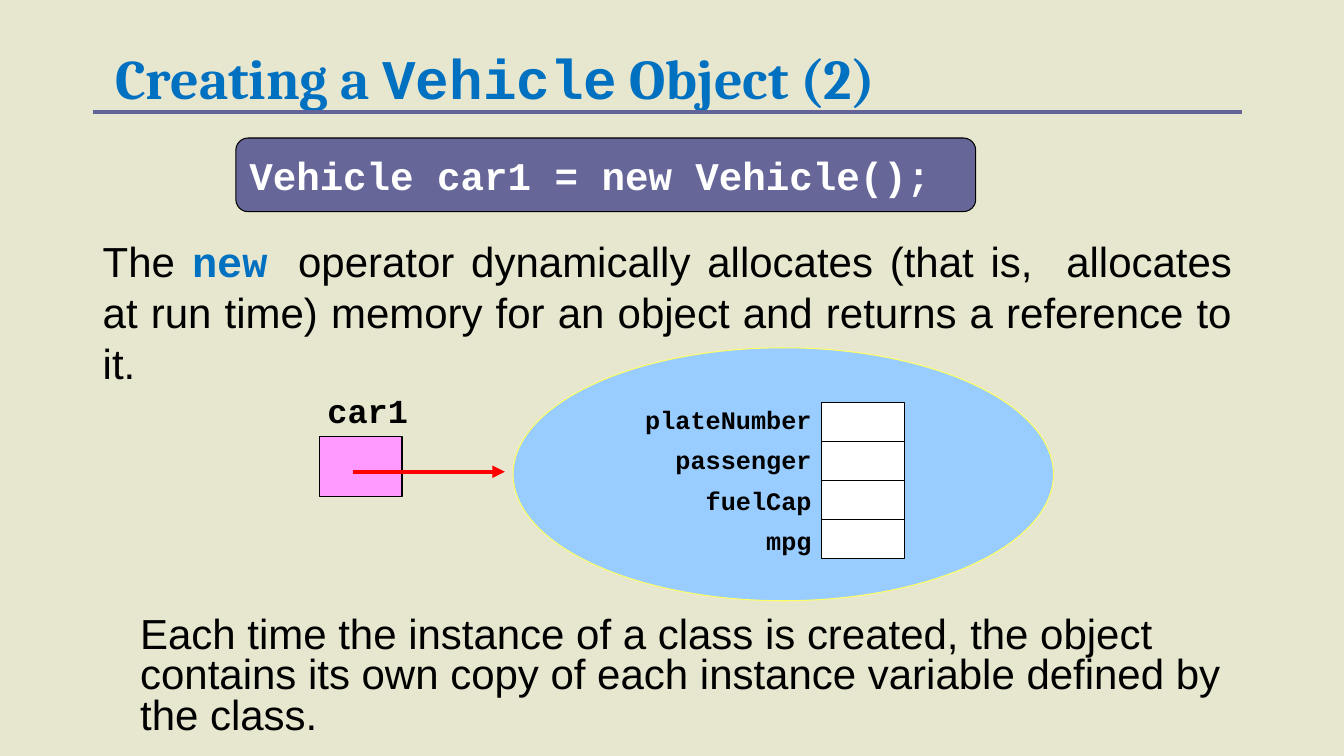
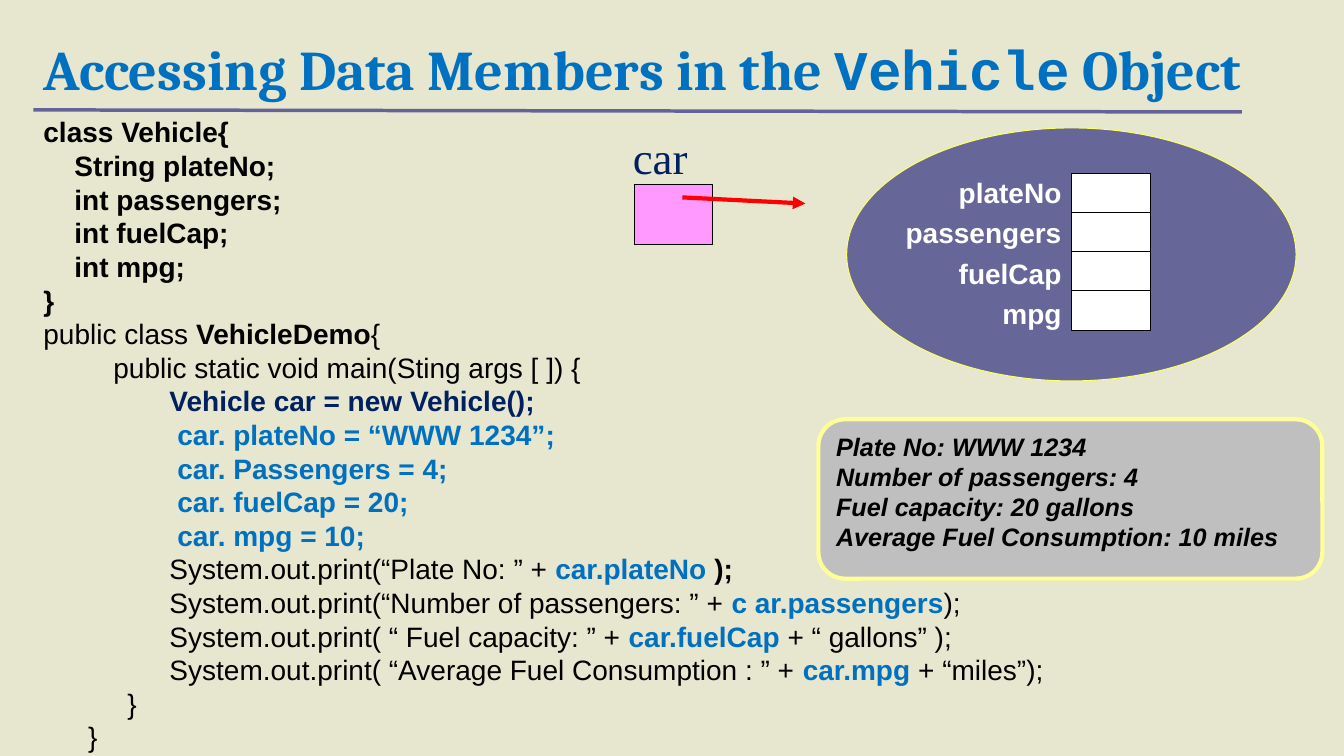
from dataclasses import dataclass

from lxml import etree
from pptx import Presentation
from pptx.dml.color import RGBColor
from pptx.enum import shapes, text
from pptx.oxml import ns
from pptx.util import Pt


@dataclass(frozen=True)
class Theme:
    # Colours
    background: str = "E7E7CF"
    accent: str = "0070C0"
    navy: str = "002060"
    violet: str = "666699"
    rule: str = "636397"
    sky: str = "99CCFF"
    pink: str = "FF99FF"
    red: str = "FF0000"
    yellow: str = "FFFF66"
    pale_yellow: str = "FFFF99"
    grey: str = "BFBFBF"
    black: str = "000000"
    white: str = "FFFFFF"
    # Fonts
    heading: str = "Cambria"
    sans: str = "Arial"
    mono: str = "Courier New"
    serif: str = "Times New Roman"
    # Type sizes
    title_size: int = 40
    body_size: int = 30
    banner_size: int = 28
    code_size: int = 20
    small_size: int = 18


THEME = Theme()
SHAPE = shapes.MSO_SHAPE
ALIGN = text.PP_ALIGN
ANCHOR = text.MSO_ANCHOR
CELL_HEIGHT = 28
LABEL_PITCH = 28.8


# --- Text -----------------------------------------------------------------

def format_span(span, font=THEME.sans, size=THEME.code_size, color=THEME.black,
                bold=False, italic=False):
    span.font.name = font
    span.font.size = Pt(size)
    span.font.color.rgb = RGBColor.from_string(color)
    span.font.bold = bold
    span.font.italic = italic


def write_text(frame, lines, align=ALIGN.LEFT, anchor=ANCHOR.TOP, wrap=True,
               leading=None, **style):
    """Each line is (indent, span, ...); a span is a string or (string, changes)."""
    frame.auto_size = text.MSO_AUTO_SIZE.NONE
    frame.word_wrap = wrap
    frame.vertical_anchor = anchor
    for number, (indent, *spans) in enumerate(lines):
        para = frame.add_paragraph() if number else frame.paragraphs[0]
        para.alignment = align
        para.space_before = Pt(0)
        if leading:
            para.line_spacing = Pt(leading)
        properties = para._p.get_or_add_pPr()
        properties.set("marL", str(Pt(indent)))
        properties.set("indent", "0")
        etree.SubElement(properties, ns.qn("a:buNone"))
        for item in spans:
            words, changes = (item, {}) if isinstance(item, str) else item
            span = para.add_run()
            span.text = words
            format_span(span, **{**style, **changes})


def place(box, left, top, width, height):
    box.left, box.top, box.width, box.height = map(Pt, (left, top, width, height))


def fill_placeholder(box, bounds, lines, **style):
    place(box, *bounds)
    write_text(box.text_frame, lines, **style)


def add_label(page, bounds, words, **style):
    box = page.shapes.add_textbox(*map(Pt, bounds))
    write_text(box.text_frame, [(0, words)], **style)


# --- Shapes and lines -----------------------------------------------------

def add_panel(page, kind, bounds, fill, line=THEME.black, weight=0.75):
    panel = page.shapes.add_shape(kind, *map(Pt, bounds))
    panel.shadow.inherit = False
    panel.fill.solid()
    panel.fill.fore_color.rgb = RGBColor.from_string(fill)
    panel.line.color.rgb = RGBColor.from_string(line)
    panel.line.width = Pt(weight)
    return panel


def add_line(page, ends, color, weight, arrow=False):
    line = page.shapes.add_connector(shapes.MSO_CONNECTOR.STRAIGHT, *map(Pt, ends))
    line.line.color.rgb = RGBColor.from_string(color)
    line.line.width = Pt(weight)
    if arrow:
        etree.SubElement(line.line._get_or_add_ln(), ns.qn("a:tailEnd"), type="triangle")
    etree.SubElement(line._element.spPr, ns.qn("a:effectLst"))


# --- Slide parts ----------------------------------------------------------

def add_page(deck, layout, title_bounds, title, rule):
    page = deck.slides.add_slide(deck.slide_layouts.get_by_name(layout))
    fill_placeholder(page.shapes.title, title_bounds, [(0, *title)],
                     anchor=ANCHOR.MIDDLE, font=THEME.heading,
                     size=THEME.title_size, color=THEME.accent, bold=True)
    add_line(page, rule, THEME.rule, 2.5)
    return page


def add_object(page, oval, fill, reference, arrow, cell, fields, label_width, **style):
    """Draw an object with its fields, and the variable that refers to it."""
    add_panel(page, SHAPE.OVAL, oval, fill, THEME.yellow)
    add_panel(page, SHAPE.RECTANGLE, reference, THEME.pink)
    add_line(page, arrow, THEME.red, 3, arrow=True)
    left, top, width = cell
    for row, field in enumerate(fields):
        add_panel(page, SHAPE.RECTANGLE,
                  (left, top + row * CELL_HEIGHT, width, CELL_HEIGHT), THEME.white)
        add_label(page, (left - label_width, top - 2 + row * LABEL_PITCH,
                         label_width, 29.5),
                  field, align=ALIGN.RIGHT, bold=True, **style)


# --- Slides ---------------------------------------------------------------

def build_creating_page(deck):
    mono = {"font": THEME.mono}
    page = add_page(deck, "Two Content", (75, 30.2, 725, 49.7),
                    ["Creating a ", ("Vehicle", mono), " Object (2)"],
                    (66.2, 80, 887, 80))
    operator, instances = list(page.placeholders)[1:]
    fill_placeholder(
        operator, (66.2, 164.2, 821.5, 80),
        [(0, "The ", ("new ", {**mono, "color": THEME.accent, "bold": True}),
          "operator dynamically allocates (that is,  allocates at run time) "
          "memory for an object and returns a reference to it.")],
        size=THEME.body_size, align=ALIGN.JUSTIFY, leading=36.4)
    fill_placeholder(
        instances, (79.2, 437, 839.5, 94.3),
        [(13.7, "Each time the instance of a class is created, the object contains "
          "its own copy of each instance variable defined by the class.")],
        size=THEME.body_size, leading=29)

    banner = add_panel(page, SHAPE.ROUNDED_RECTANGLE, (168.5, 98.6, 528.5, 52.6),
                       THEME.violet)
    write_text(banner.text_frame, [(0, "Vehicle car1 = new Vehicle();")],
               anchor=ANCHOR.MIDDLE, wrap=False, font=THEME.mono,
               size=THEME.banner_size, color=THEME.white, bold=True)

    add_object(page, oval=(366.5, 248.4, 386, 180.7), fill=THEME.sky,
               reference=(228.2, 311.8, 59, 43.2), arrow=(252, 337, 360.7, 337),
               cell=(586.8, 287.3, 59),
               fields=["plateNumber", "passenger", "fuelCap", "mpg"],
               label_width=141.8, font=THEME.mono, size=THEME.small_size)
    add_label(page, (226.8, 275, 102, 46), "car1", font=THEME.mono, size=24, bold=True)


def code_lines():
    bold = {"bold": True}
    key = {"bold": True, "color": THEME.accent}
    member, method, statement, assignment = 22.2, 50, 90, 95.6
    fields = ["String plateNo;", "int passengers;", "int fuelCap;", "int mpg;"]
    values = ["car. plateNo = “WWW 1234”;", "car. Passengers = 4;",
              "car. fuelCap = 20;", "car. mpg = 10;"]
    prints = [
        ("(“Plate No: ” + ", ("car.plateNo ", key), (");", bold)),
        ("(“Number of passengers: ” + ", ("c ar.passengers", key), ");"),
        ("( “ Fuel capacity: ” + ", ("car.fuelCap", key), " + “ gallons” );"),
        ("( “Average Fuel Consumption : ” + ", ("car.mpg", key), " + “miles”);"),
    ]
    return [
        (0, ("class Vehicle{", bold)),
        *[(member, (field, bold)) for field in fields],
        (0, ("}", bold)),
        (0, "public class ", ("VehicleDemo", bold), "{"),
        (method, "public static void main(Sting args [ ]) {"),
        (statement, ("Vehicle car = new Vehicle();", {**bold, "color": THEME.navy})),
        *[(assignment, (value, key)) for value in values],
        *[(statement, "System.out.print" + start, *rest) for start, *rest in prints],
        (60, "}"),
        (32, "}"),
    ]


def build_accessing_page(deck):
    page = add_page(deck, "Title and Content", (23.8, 20.2, 921, 56.2),
                    ["Accessing Data Members in the ",
                     ("Vehicle", {"font": THEME.mono}), " Object"],
                    (23.8, 78.5, 887, 80))
    fill_placeholder(page.placeholders[1], (23.8, 78.5, 908.6, 461), code_lines(),
                     leading=24)

    output = add_panel(page, SHAPE.ROUNDED_RECTANGLE, (584.6, 299.5, 360, 113.8),
                       THEME.grey, THEME.pale_yellow, 3)
    printed = ["Plate No: WWW 1234", "Number of passengers: 4",
               "Fuel capacity: 20 gallons", "Average Fuel Consumption: 10 miles"]
    write_text(output.text_frame, [(0, line) for line in printed], wrap=False,
               leading=21.4, size=THEME.small_size, bold=True, italic=True)

    add_object(page, oval=(604.8, 91.4, 321, 180.7), fill=THEME.violet,
               reference=(452.9, 131.8, 56.2, 43.2), arrow=(487.4, 141, 575.3, 145.4),
               cell=(765.4, 123.8, 56.2),
               fields=["plateNo", "passengers", "fuelCap", "mpg"],
               label_width=134.6, color=THEME.white)
    add_label(page, (445, 89.3, 64, 46), "car", font=THEME.serif, size=32,
              color=THEME.navy)


def main():
    deck = Presentation()
    deck.slide_width, deck.slide_height = Pt(960), Pt(540)
    backdrop = deck.slide_master.background.fill
    backdrop.solid()
    backdrop.fore_color.rgb = RGBColor.from_string(THEME.background)
    build_creating_page(deck)
    build_accessing_page(deck)
    deck.save("out.pptx")


if __name__ == "__main__":
    main()
